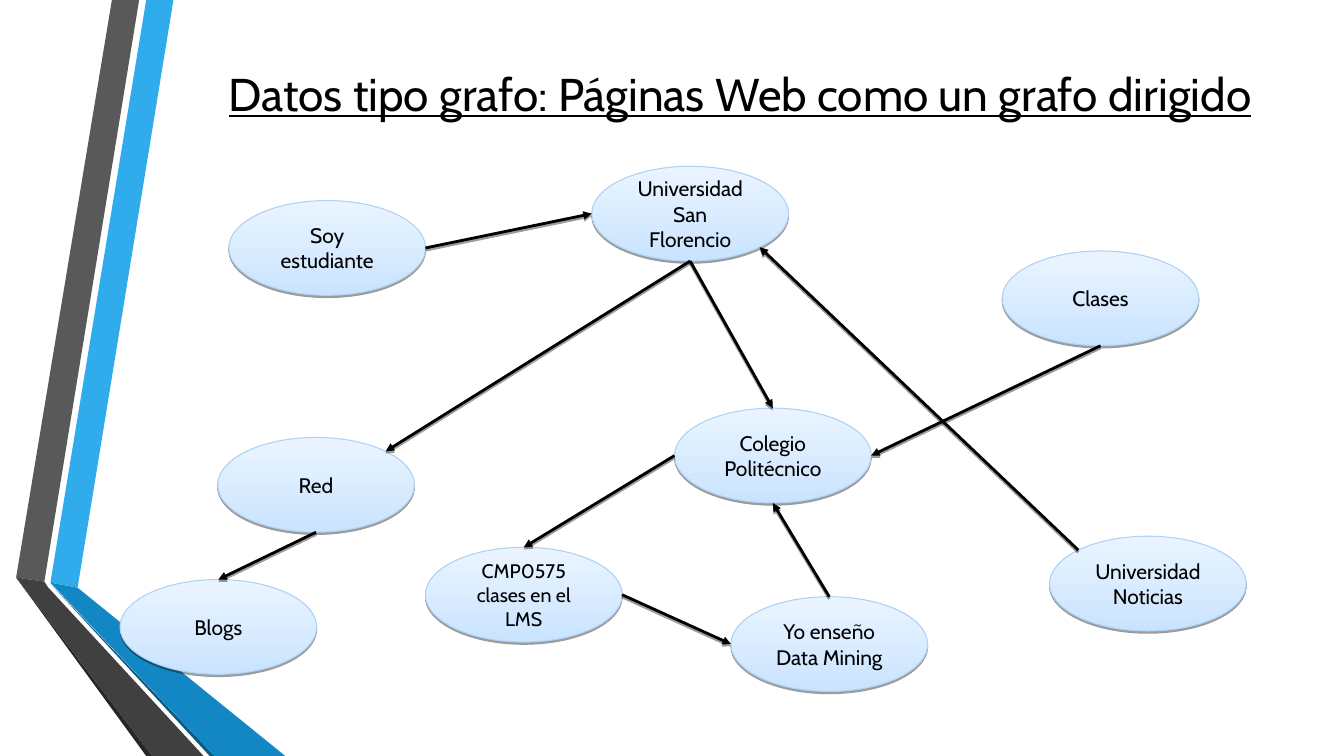
from math import cos, radians, sin

from lxml.etree import SubElement
from pptx import Presentation
from pptx.dml.color import RGBColor
from pptx.enum.shapes import MSO_CONNECTOR as CONNECTOR, MSO_SHAPE as SHAPE
from pptx.enum.text import MSO_ANCHOR as ANCHOR, PP_ALIGN as ALIGN
from pptx.oxml.ns import qn
from pptx.util import Inches, Pt

FONT = "Cabin"
BLACK = RGBColor(0x00, 0x00, 0x00)
NODE_BOTTOM = RGBColor(0xCA, 0xE4, 0xFF)
NODE_TOP = RGBColor(0xEA, 0xF4, 0xFF)
NODE_EDGE = RGBColor(0xAD, 0xD2, 0xF3)
SKY = RGBColor(0x30, 0xAC, 0xEC)
BLUE = RGBColor(0x12, 0x87, 0xC3)
NAVY = RGBColor(0x0C, 0x5A, 0x82)
GRAY = RGBColor(0x59, 0x59, 0x59)
CHARCOAL = RGBColor(0x40, 0x40, 0x40)
SOOT = RGBColor(0x26, 0x26, 0x26)

# Ribbon facets: colour and outline in inches
RIBBONS = [
    (SKY, [(0.5, 5.78), (0.77, 5.83), (1.72, 0), (1.45, 0)]),
    (GRAY, [(1.38, 0), (1.11, 0), (0.16, 5.73), (0.44, 5.77)]),
    (SOOT, [(0.16, 5.73), (1.45, 7.5), (1.51, 7.5)]),
    (NAVY, [(0.5, 5.79), (2.08, 7.5), (2.13, 7.5)]),
    (BLUE, [(0.5, 5.78), (2.13, 7.5), (2.83, 7.5), (0.77, 5.83)]),
    (CHARCOAL, [(2.02, 7.5), (0.48, 5.83), (0.44, 5.77), (0.16, 5.73), (1.51, 7.5)]),
]

# Graph nodes: left and top inside the graph box, label, text size
NODE_W, NODE_H = 1.95, 0.94
NODES = {
    "university": (4.68, 0, "Universidad San Florencio", 15),
    "teacher": (6.06, 4.27, "Yo enseño Data Mining", 15),
    "network": (0.97, 2.69, "Red", 15),
    "classes": (8.75, 0.84, "Clases", 15),
    "college": (5.5, 2.4, "Colegio Politécnico", 15),
    "course": (3.03, 3.78, "CMP0575 clases en el LMS", 14),
    "blogs": (0, 4.1, "Blogs", 15),
    "news": (9.22, 3.67, "Universidad Noticias", 15),
    "student": (1.08, 0.34, "Soy estudiante", 15),
}

# Connection sites of an ellipse run counterclockwise from the top, 45° apart
TOP, LEFT, BOTTOM, LOWER_RIGHT, RIGHT, UPPER_RIGHT = 0, 2, 4, 5, 6, 7
UPPER_LEFT = 1
LINKS = [
    ("student", RIGHT, "university", LEFT),
    ("teacher", TOP, "college", BOTTOM),
    ("college", LEFT, "course", TOP),
    ("university", BOTTOM, "college", TOP),
    ("university", BOTTOM, "network", UPPER_RIGHT),
    ("network", BOTTOM, "blogs", TOP),
    ("news", UPPER_LEFT, "university", LOWER_RIGHT),
    ("classes", BOTTOM, "college", RIGHT),
    ("course", RIGHT, "teacher", LEFT),
]


def write(frame, text, size, align=ALIGN.LEFT, underline=False):
    frame.word_wrap = True
    frame.vertical_anchor = ANCHOR.MIDDLE
    paragraph = frame.paragraphs[0]
    paragraph.alignment = align
    run = paragraph.add_run()
    run.text = text
    run.font.name = FONT
    run.font.size = Pt(size)
    run.font.color.rgb = BLACK
    run.font.underline = underline


def drop_shadow(properties):
    """Add a sharp shadow just below the part; call once its line is set."""
    effects = SubElement(properties, qn("a:effectLst"))
    shadow = SubElement(effects, qn("a:outerShdw"), blurRad="0",
                        dist=str(Pt(1.6)), dir="5400000", rotWithShape="0")
    color = SubElement(shadow, qn("a:srgbClr"), val=str(BLACK))
    SubElement(color, qn("a:alpha"), val="38000")


def draw_ribbons(slide, left, top):
    for color, outline in RIBBONS:
        points = [(Inches(left + x), Inches(top + y)) for x, y in outline]
        builder = slide.shapes.build_freeform(*points[0])
        builder.add_line_segments(points[1:], close=True)
        facet = builder.convert_to_shape()
        facet.shadow.inherit = False
        facet.fill.solid()
        facet.fill.fore_color.rgb = color
        facet.line.fill.background()


def draw_title(slide, left, top, width, height):
    title = slide.shapes.add_textbox(*map(Inches, (left, top, width, height)))
    write(title.text_frame, "Datos tipo grafo: Páginas Web como un grafo dirigido",
          size=32.8, underline=True)


def draw_node(slide, left, top, label, size):
    node = slide.shapes.add_shape(
        SHAPE.OVAL, *map(Inches, (left, top, NODE_W, NODE_H)))
    node.fill.gradient()
    node.fill.gradient_angle = 90
    for stop, color, position in zip(
            node.fill.gradient_stops, (NODE_BOTTOM, NODE_TOP), (0, 1)):
        stop.color.rgb = color
        stop.position = position
    node.line.color.rgb = NODE_EDGE
    node.line.width = Pt(0.75)
    drop_shadow(node.element.spPr)
    write(node.text_frame, label, size=size, align=ALIGN.CENTER)
    return node


def site_point(node, site):
    angle = radians(90 + 45 * site)
    return (int(node.left + node.width * (1 + cos(angle)) / 2),
            int(node.top + node.height * (1 - sin(angle)) / 2))


def draw_link(slide, source, source_site, target, target_site):
    link = slide.shapes.add_connector(
        CONNECTOR.STRAIGHT, *site_point(source, source_site),
        *site_point(target, target_site))
    link.line.color.rgb = BLACK
    link.line.width = Pt(2)
    properties = link.element.spPr
    SubElement(properties.find(qn("a:ln")), qn("a:tailEnd"), type="triangle")
    drop_shadow(properties)
    # Glue both ends to their nodes
    ends = link.element.find(".//" + qn("p:cNvCxnSpPr"))
    for tag, node, site in (("a:stCxn", source, source_site),
                            ("a:endCxn", target, target_site)):
        SubElement(ends, qn(tag), id=str(node.shape_id), idx=str(site))


def draw_graph(slide, left, top):
    nodes = {key: draw_node(slide, left + x, top + y, label, size)
             for key, (x, y, label, size) in NODES.items()}
    for source, source_site, target, target_site in LINKS:
        draw_link(slide, nodes[source], source_site, nodes[target], target_site)


def main():
    deck = Presentation()
    deck.slide_width, deck.slide_height = Inches(13.33), Inches(7.5)
    slide = deck.slides.add_slide(deck.slide_layouts[6])
    draw_ribbons(slide, 0, 0)
    draw_title(slide, 2.17, 0.3, 10.58, 1.25)
    draw_graph(slide, 1.19, 1.65)
    deck.save("out.pptx")


if __name__ == "__main__":
    main()
